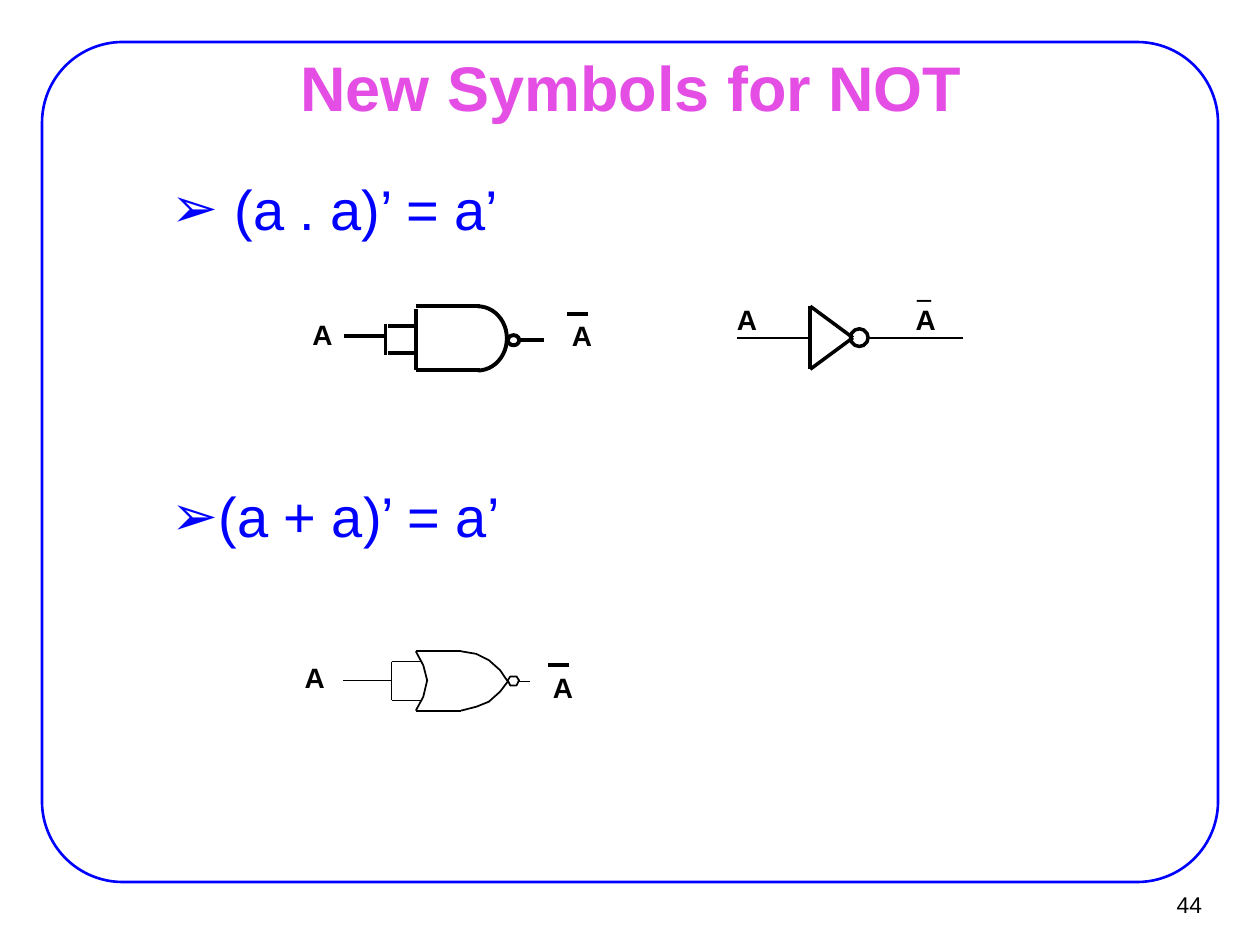
from lxml import etree
from pptx import Presentation
from pptx.dml.color import RGBColor
from pptx.enum import shapes, text
from pptx.oxml import ns
from pptx.util import Pt

BLUE = RGBColor(0x00, 0x00, 0xFF)
PINK = RGBColor(0xE4, 0x4E, 0xE4)
BLACK = RGBColor(0, 0, 0)

# Content: lengths in points
TITLE = "New Symbols for NOT"
# (wording, top, text indent, hanging indent)
RULES = [("(a . a)’ = a’", 95.8, 72, -36),
         ("(a + a)’ = a’", 271.4, 58.5, -22.5)]
# (wording, left, top, width, font)
LABELS = [("A", 171.4, 177.8, 26, "Arial"), ("A", 319.7, 178.6, 26, "Arial"),
          ("A", 516.2, 169.2, 26, "Arial"), ("A", 414, 169.2, 26, "Arial"),
          ("_", 517, 151.2, 22.3, "Times New Roman"),
          ("A", 167, 373.7, 26, "Arial"), ("A", 308.9, 379.4, 26, "Arial")]
# Straight lines by part: (line width, [(x1, y1, x2, y2), ...])
WIRES = {
    "NAND gate": (2.25, [
        (297.4, 194.4, 311, 194.4), (221.8, 186.5, 237.6, 186.5),
        (221.8, 201.6, 237.6, 201.6), (237.6, 175, 274.3, 175),
        (237.6, 176.4, 237.6, 211.7), (237.6, 211.7, 274.3, 211.7),
        (220.3, 185, 220.3, 203), (220.3, 192.2, 196.6, 192.2)]),
    "overbars": (2.25, [(324, 179.3, 336.2, 179.3), (313.2, 380.2, 325.4, 380.2)]),
    "inverter triangle": (2, [
        (487.4, 193, 463, 175), (487.4, 193, 463, 211), (463, 211, 463, 175)]),
    "inverter wires": (1, [(496.1, 193, 550.1, 193), (463, 193, 421.2, 193)]),
    "NOR gate": (1, [
        (263.5, 406.1, 237.6, 406.1), (237.6, 372.2, 263.5, 372.2),
        (223.9, 400.3, 240.5, 400.3), (223.9, 378, 240.5, 378),
        (296.6, 389.5, 303.1, 389.5)]),
    "NOR input": (0.75, [(223.9, 378, 223.9, 400.3), (223.9, 388.8, 195.8, 388.8)]),
}
# Inversion bubbles: (left, top, width, height, line width)
BUBBLES = [(290.2, 191.5, 6.5, 5.8, 2.25), (486, 187.9, 10.1, 10.1, 2)]
# NOR outlines: nose, back, bubble
NOR_CURVES = [
    [(263.5, 406.1), (272.2, 403.9), (279.4, 401), (285.8, 395.3), (290.2, 389.5),
     (285.8, 383), (279.4, 377.3), (272.2, 373.7), (263.5, 372.2)],
    [(237.6, 406.1), (241.9, 398.2), (244.1, 388.8), (241.9, 380.2), (237.6, 372.2)],
    [(296.6, 388.8), (295.2, 386.6), (291.6, 386.6), (290.2, 388.8),
     (291.6, 391.7), (295.2, 391.7), (296.6, 388.8)],
]

deck = Presentation()
deck.slide_width, deck.slide_height = Pt(720), Pt(540)
page = deck.slides.add_slide(deck.slide_layouts[3])


def place(box, left, top, width, height):
    box.left, box.top, box.width, box.height = map(Pt, (left, top, width, height))


def write(box, words, size, color, insets, font="Arial", bold=False, wrap=True,
          align=text.PP_ALIGN.LEFT, anchor=text.MSO_ANCHOR.TOP):
    frame = box.text_frame
    frame.text = words
    frame.word_wrap = wrap
    frame.auto_size = text.MSO_AUTO_SIZE.NONE
    frame.vertical_anchor = anchor
    frame.margin_left = frame.margin_right = Pt(insets[0])
    frame.margin_top = frame.margin_bottom = Pt(insets[1])
    para = frame.paragraphs[0]
    para.alignment = align
    para.space_before = Pt(0)
    span = para.runs[0].font
    span.name, span.size, span.bold = font, Pt(size), bold
    span.color.rgb = color
    return para


def outline(shape, color, width):
    shape.shadow.inherit = False
    shape.fill.background()
    shape.line.color.rgb = color
    shape.line.width = Pt(width)


def add_outlined(kind, left, top, width, height, color, line_width):
    shape = page.shapes.add_shape(kind, *map(Pt, (left, top, width, height)))
    outline(shape, color, line_width)
    return shape


def add_bullet(para, indent, hanging):
    para.level = 1
    props = para._p.get_or_add_pPr()
    props.set("marL", str(Pt(indent)))
    props.set("indent", str(Pt(hanging)))
    color = etree.SubElement(props, ns.qn("a:buClr"))
    etree.SubElement(color, ns.qn("a:srgbClr")).set("val", str(BLUE))
    etree.SubElement(props, ns.qn("a:buChar")).set("char", "➢")


# Page frame
border = add_outlined(shapes.MSO_SHAPE.ROUNDED_RECTANGLE, 24, 24, 672, 480, BLUE, 1.5)
border.adjustments[0] = 0.096

# Title and rules
title, *bodies = page.placeholders
place(title, 54.7, 31.7, 612, 35.3)
write(title, TITLE, 36, PINK, (8, 4), bold=True,
      align=text.PP_ALIGN.CENTER, anchor=text.MSO_ANCHOR.MIDDLE)
for body, (words, top, indent, hanging) in zip(bodies, RULES):
    place(body, 54, top, 612, 72)
    add_bullet(write(body, words, 32, BLUE, (8, 4)), indent, hanging)

# Page number
number = page.shapes.add_textbox(Pt(649.4), Pt(503.3), Pt(43.9), Pt(26.6))
write(number, "44", 13, BLACK, (6.5, 3), wrap=False,
      align=text.PP_ALIGN.RIGHT, anchor=text.MSO_ANCHOR.MIDDLE)

# Gate lines
for width, lines in WIRES.values():
    for ends in lines:
        wire = page.shapes.add_connector(shapes.MSO_CONNECTOR.STRAIGHT, *map(Pt, ends))
        wire.line.color.rgb = BLACK
        wire.line.width = Pt(width)
        etree.SubElement(wire._element.spPr, ns.qn("a:effectLst"))

# Rounded end of the NAND gate, from the top (270°) to the bottom (90°)
arc = add_outlined(shapes.MSO_SHAPE.ARC, 256.3, 175, 33.4, 36.7, BLACK, 2.25)
arc.adjustments[0], arc.adjustments[1] = 162, 54

# Bubbles and NOR outlines
for *area, width in BUBBLES:
    add_outlined(shapes.MSO_SHAPE.OVAL, *area, BLACK, width)
for curve in NOR_CURVES:
    start, *rest = [(Pt(x), Pt(y)) for x, y in curve]
    builder = page.shapes.build_freeform(*start)
    builder.add_line_segments(rest, close=False)
    outline(builder.convert_to_shape(), BLACK, 1)

# Signal labels
for words, left, top, width, font in LABELS:
    label = page.shapes.add_textbox(Pt(left), Pt(top), Pt(width), Pt(26.5))
    write(label, words, 16, BLACK, (7.2, 3.6), font=font, bold=True, wrap=False)

deck.save("out.pptx")
